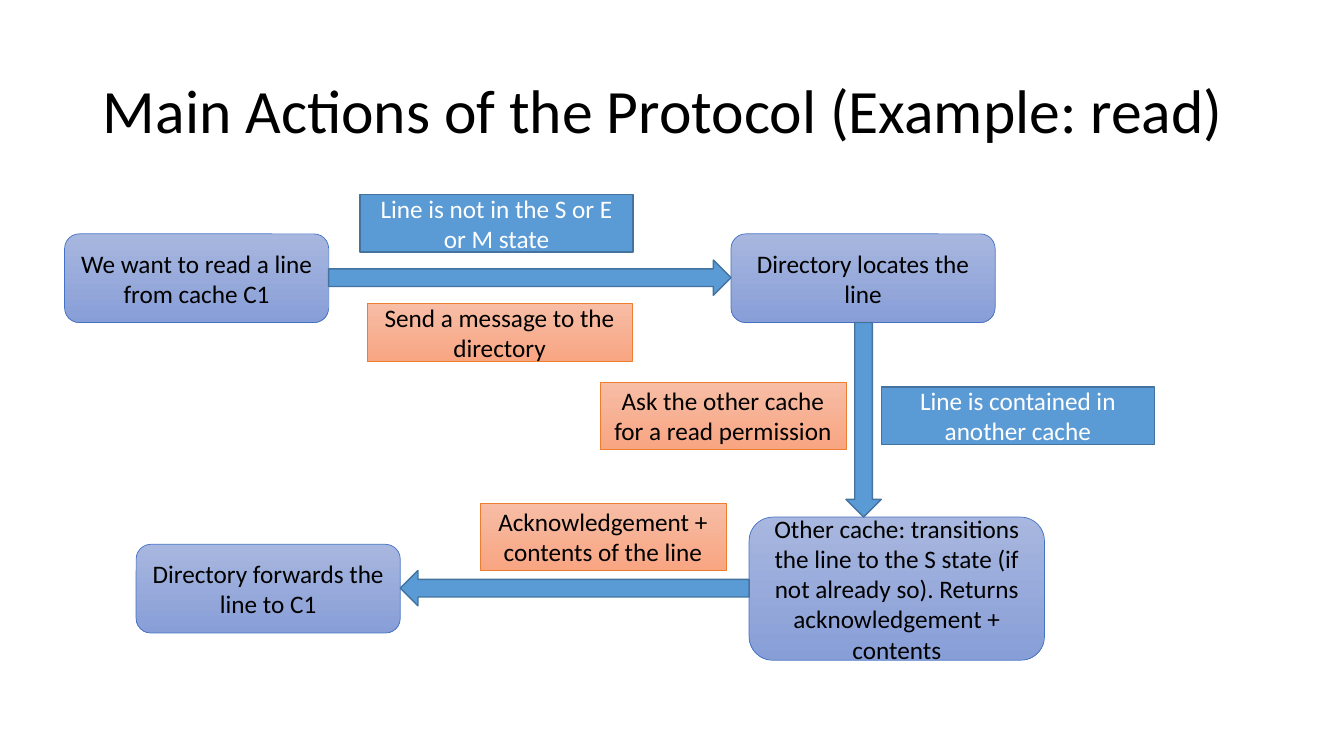
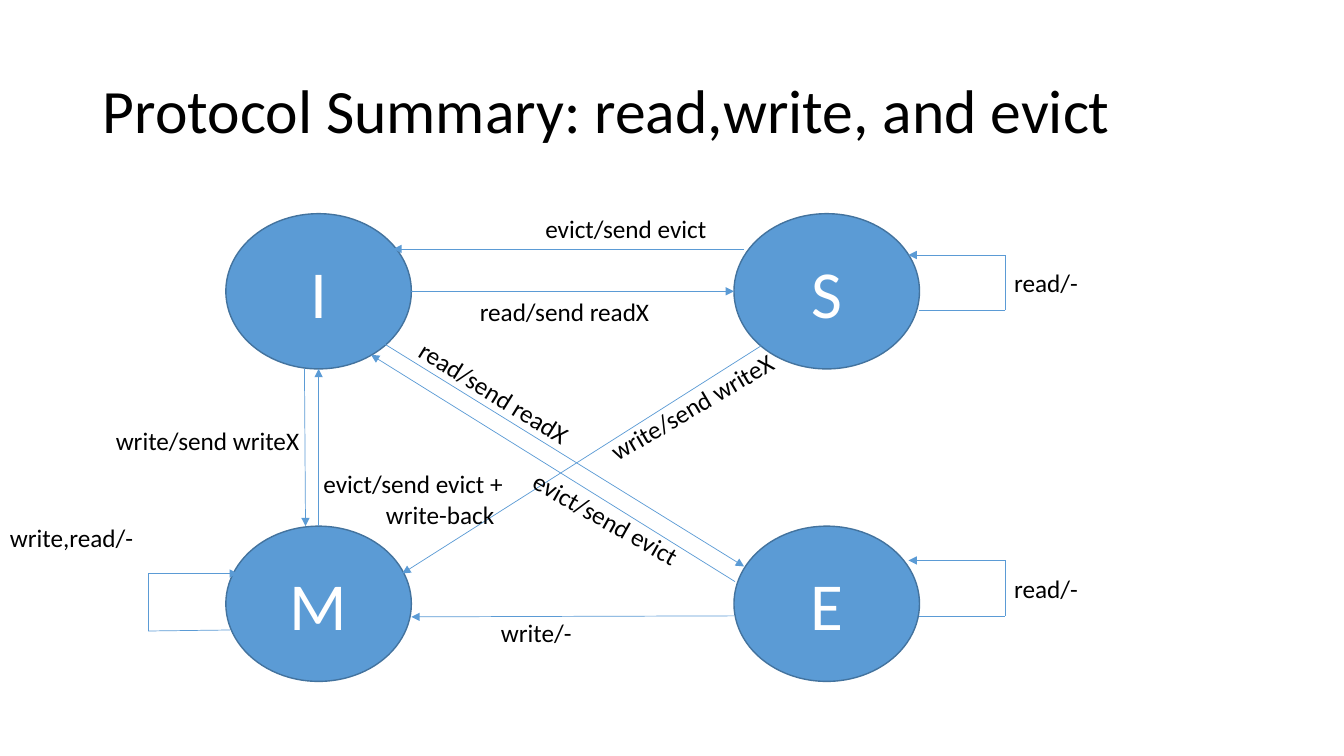
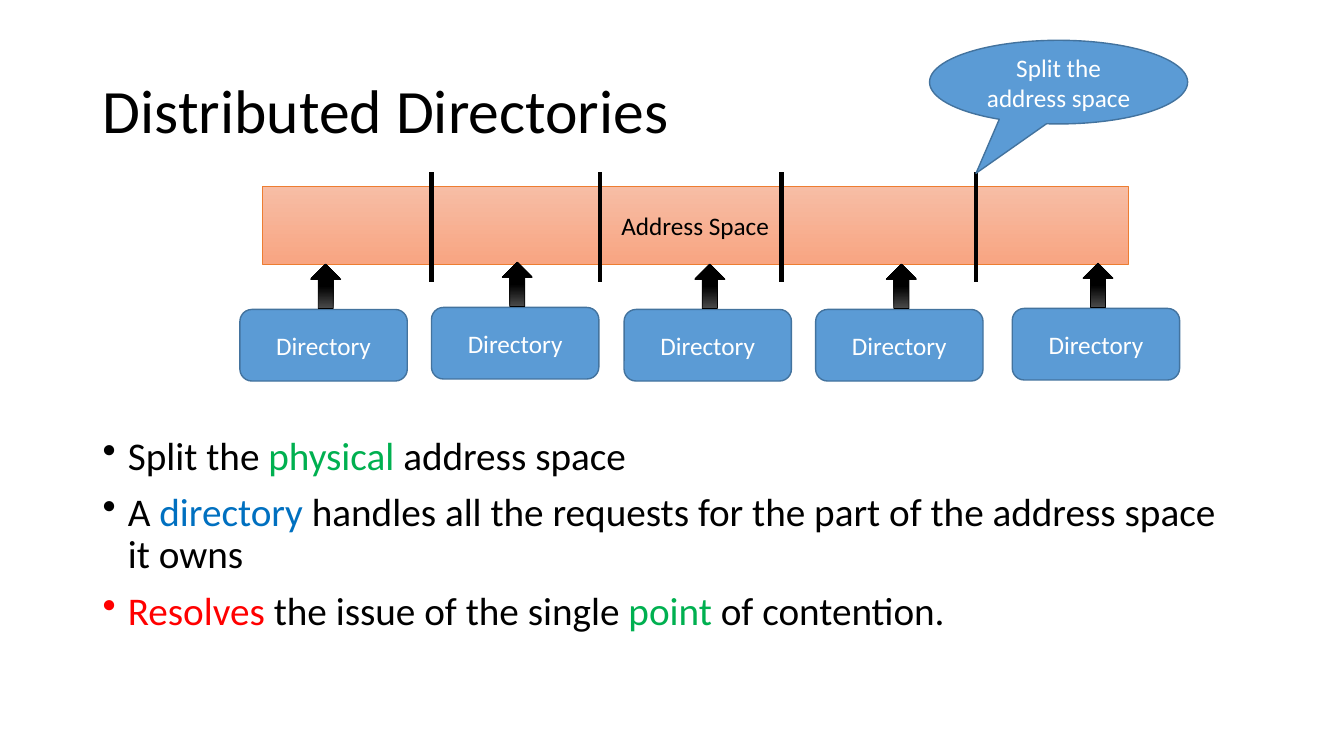
from dataclasses import dataclass

from lxml import etree
from pptx import Presentation
from pptx.dml.color import RGBColor
from pptx.enum.shapes import MSO_CONNECTOR, MSO_SHAPE
from pptx.enum.text import MSO_ANCHOR, MSO_AUTO_SIZE, PP_ALIGN
from pptx.oxml.ns import qn
from pptx.util import Emu, Pt

PX = 9144
TITLE_ONLY = 5

RECT = MSO_SHAPE.RECTANGLE
ROUNDED = MSO_SHAPE.ROUNDED_RECTANGLE
ELLIPSE = MSO_SHAPE.OVAL
CALLOUT = MSO_SHAPE.OVAL_CALLOUT
RIGHT_ARROW = MSO_SHAPE.RIGHT_ARROW
DOWN_ARROW = MSO_SHAPE.DOWN_ARROW
STRAIGHT = MSO_CONNECTOR.STRAIGHT
LEFT, CENTER = PP_ALIGN.LEFT, PP_ALIGN.CENTER
TOP, MIDDLE = MSO_ANCHOR.TOP, MSO_ANCHOR.MIDDLE
NO_FIT, GROW = MSO_AUTO_SIZE.NONE, MSO_AUTO_SIZE.SHAPE_TO_FIT_TEXT


@dataclass(frozen=True)
class Look:
    fill: tuple
    line: str
    width: float
    ink: str


@dataclass(frozen=True)
class Theme:
    font: str = "Calibri"
    black: str = "000000"
    blue: str = "5B9BD5"
    green: str = "00B050"
    deep_blue: str = "0070C0"
    red: str = "FF0000"
    title_size: int = 44
    state_size: int = 48
    body_size: int = 28
    label_size: int = 18
    solid: Look = Look(("5B9BD5",), "43739E", 1, "FFFFFF")
    step: Look = Look(("A8B7DF", "889ED7"), "4472C4", 0.5, "000000")
    message: Look = Look(("F7BDA5", "F8A582"), "ED7D31", 0.5, "000000")
    pointer: Look = Look(("4B4B4B", "000000"), "000000", 0.5, "FFFFFF")


THEME = Theme()


def rgb(color):
    return RGBColor.from_string(color)


def px(*lengths):
    return [Emu(length * PX) for length in lengths]


def write(frame, paragraphs, size=THEME.label_size, color=THEME.black, align=LEFT,
          anchor=TOP, wrap=True, fit=NO_FIT, spacing=None, before=None,
          indents=None, bullet=None):
    frame.word_wrap = wrap
    frame.auto_size = fit
    frame.vertical_anchor = anchor
    for index, spans in enumerate(paragraphs):
        para = frame.add_paragraph() if index else frame.paragraphs[0]
        para.alignment = align
        if spacing:
            para.line_spacing = spacing
        if before:
            para.space_before = Pt(before)
        if indents:
            properties = para._p.get_or_add_pPr()
            properties.set("marL", str(indents[index] * PX))
            if bullet:
                properties.set("indent", str(-indents[index] * PX))
                etree.SubElement(properties, qn("a:buChar")).set("char", bullet)
        for text, ink in spans:
            span = para.add_run()
            span.text = text
            span.font.name = THEME.font
            span.font.size = Pt(size)
            span.font.color.rgb = rgb(ink or color)


class Deck:
    def __init__(self, theme):
        self.theme = theme
        self.file = Presentation()
        self.file.slide_width, self.file.slide_height = px(1333, 750)
        self.page = None

    def add_page(self, title):
        self.page = self.file.slides.add_slide(self.file.slide_layouts[TITLE_ONLY])
        box = self.page.shapes.title
        box.left, box.top, box.width, box.height = px(92, 40, 1150, 145)
        write(box.text_frame, [[(title, None)]], size=self.theme.title_size,
              anchor=MIDDLE, spacing=0.9)

    def shape(self, kind, at, look, text=None, size=None, turn=0, adjust=()):
        box = self.page.shapes.add_shape(kind, *px(*at))
        box.shadow.inherit = False
        box.rotation = turn
        for index, value in enumerate(adjust):
            box.adjustments[index] = value
        if len(look.fill) == 1:
            box.fill.solid()
            box.fill.fore_color.rgb = rgb(look.fill[0])
        else:
            box.fill.gradient()
            box.fill.gradient_angle = 270
            for stop, color in zip(box.fill.gradient_stops, look.fill):
                stop.color.rgb = rgb(color)
            box.fill.gradient_stops[0].position = 0
            box.fill.gradient_stops[1].position = 0.5 if look == self.theme.pointer else 1
        box.line.color.rgb = rgb(look.line)
        box.line.width = Pt(look.width)
        if text:
            write(box.text_frame, [[(text, None)]], size=size or self.theme.label_size,
                  color=look.ink, align=CENTER, anchor=MIDDLE)

    def route(self, *points, color=THEME.blue, width=0.5, arrow=True):
        for start, end in zip(points, points[1:]):
            line = self.page.shapes.add_connector(STRAIGHT, *px(*start, *end))
            line.line.color.rgb = rgb(color)
            line.line.width = Pt(width)
            properties = line.element.spPr
            if arrow and end == points[-1]:
                outline = properties.find(qn("a:ln"))
                etree.SubElement(outline, qn("a:tailEnd")).set("type", "triangle")
            etree.SubElement(properties, qn("a:effectLst"))

    def label(self, at, *lines, turn=0, indents=None):
        box = self.page.shapes.add_textbox(*px(*at))
        box.rotation = turn
        write(box.text_frame, [[(line, None)] for line in lines], wrap=False,
              fit=GROW, indents=indents)

    def bullets(self, at, paragraphs):
        box = self.page.shapes.add_textbox(*px(*at))
        write(box.text_frame, paragraphs, size=self.theme.body_size, spacing=0.9,
              before=10, indents=[25] * len(paragraphs), bullet="•")


def add_read_page(deck):
    theme = deck.theme
    deck.add_page("Main Actions of the Protocol (Example: read)")
    for at, text in (
        ((64, 232, 262, 88), "We want to read a line from cache C1"),
        ((725, 232, 262, 88), "Directory locates the line"),
        ((743, 513, 293, 142), "Other cache: transitions the line to the S state "
                               "(if not already so). Returns acknowledgement + contents"),
        ((135, 540, 262, 88), "Directory forwards the line to C1"),
    ):
        deck.shape(ROUNDED, at, theme.step, text)
    for at, turn in (
        ((326, 258, 399, 35), 0),
        ((760, 399, 193, 35), 90),
        ((397, 566, 346, 35), 180),
    ):
        deck.shape(RIGHT_ARROW, at, theme.solid, turn=turn)
    for at, look, text in (
        ((357, 193, 271, 57), theme.solid, "Line is not in the S or E or M state"),
        ((364, 301, 263, 58), theme.message, "Send a message to the directory"),
        ((874, 384, 271, 57), theme.solid, "Line is contained in another cache"),
        ((595, 379, 244, 67), theme.message, "Ask the other cache for a read permission"),
        ((476, 499, 244, 67), theme.message, "Acknowledgement + contents of the line"),
    ):
        deck.shape(RECT, at, look, text)


def add_summary_page(deck):
    theme = deck.theme
    deck.add_page("Protocol Summary: read,write, and evict")
    for state, left, top in (("E", 728, 522), ("S", 728, 212),
                             ("I", 224, 212), ("M", 224, 522)):
        deck.shape(ELLIPSE, (left, top, 184, 154), theme.solid, state, theme.state_size)
    for points in (
        ((408, 289), (728, 289)),
        ((738, 247), (390, 247)),
        ((381, 341), (738, 562)),
        ((729, 577), (368, 352)),
        ((302, 366), (303, 522)),
        ((316, 522), (316, 366)),
        ((755, 343), (399, 569)),
        ((728, 611), (408, 612)),
        ((228, 625), (147, 626), (147, 569), (236, 569)),
        ((912, 308), (997, 308), (997, 253), (901, 253)),
        ((912, 611), (997, 611), (997, 556), (901, 556)),
    ):
        deck.route(*points)
    for at, text, turn in (
        ((466, 289, 191, 40), "read/send readX", 0),
        ((396, 370, 191, 40), "read/send readX", 31.8),
        ((105, 417, 204, 40), "write/send writeX", 0),
        ((585, 383, 204, 40), "write/send writeX", 329.5),
        ((531, 207, 182, 40), "evict/send evict", 0),
        ((511, 495, 182, 40), "evict/send evict", 29.3),
        ((0, 513, 144, 40), "write,read/-", 0),
        ((996, 260, 84, 40), "read/-", 0),
        ((996, 564, 84, 40), "read/-", 0),
        ((487, 608, 91, 40), "write/-", 0),
    ):
        deck.label(at, text, turn=turn)
    deck.label((311, 460, 206, 71), "evict/send evict +", "write-back", indents=(0, 62))


def add_directories_page(deck):
    theme = deck.theme
    deck.add_page("Distributed Directories")
    deck.shape(RECT, (260, 185, 859, 77), theme.message, "Address Space")
    for x in (428, 595, 775, 968):
        deck.route((x, 171), (x, 280), color=theme.black, width=3, arrow=False)
    deck.shape(CALLOUT, (922, 40, 256, 83), theme.solid, "Split the address space",
               adjust=(-0.32, 1.09))
    for left, top in ((238, 307), (428, 305), (619, 307), (809, 307), (1004, 306)):
        deck.shape(ROUNDED, (left, top, 166, 71), theme.solid, "Directory")
        deck.shape(DOWN_ARROW, (left + 70, top - 45, 30, 44), theme.pointer, turn=180)
    deck.bullets((92, 428, 1150, 248), [
        [("Split the ", None), ("physical ", theme.green), ("address space", None)],
        [("A ", None), ("directory", theme.deep_blue),
         (" handles all the requests for the part of the address space it owns", None)],
        [("Resolves", theme.red), (" the issue of the single ", None),
         ("point", theme.green), (" of contention.", None)],
    ])


def main():
    deck = Deck(THEME)
    add_read_page(deck)
    add_summary_page(deck)
    add_directories_page(deck)
    deck.file.save("out.pptx")


if __name__ == "__main__":
    main()
